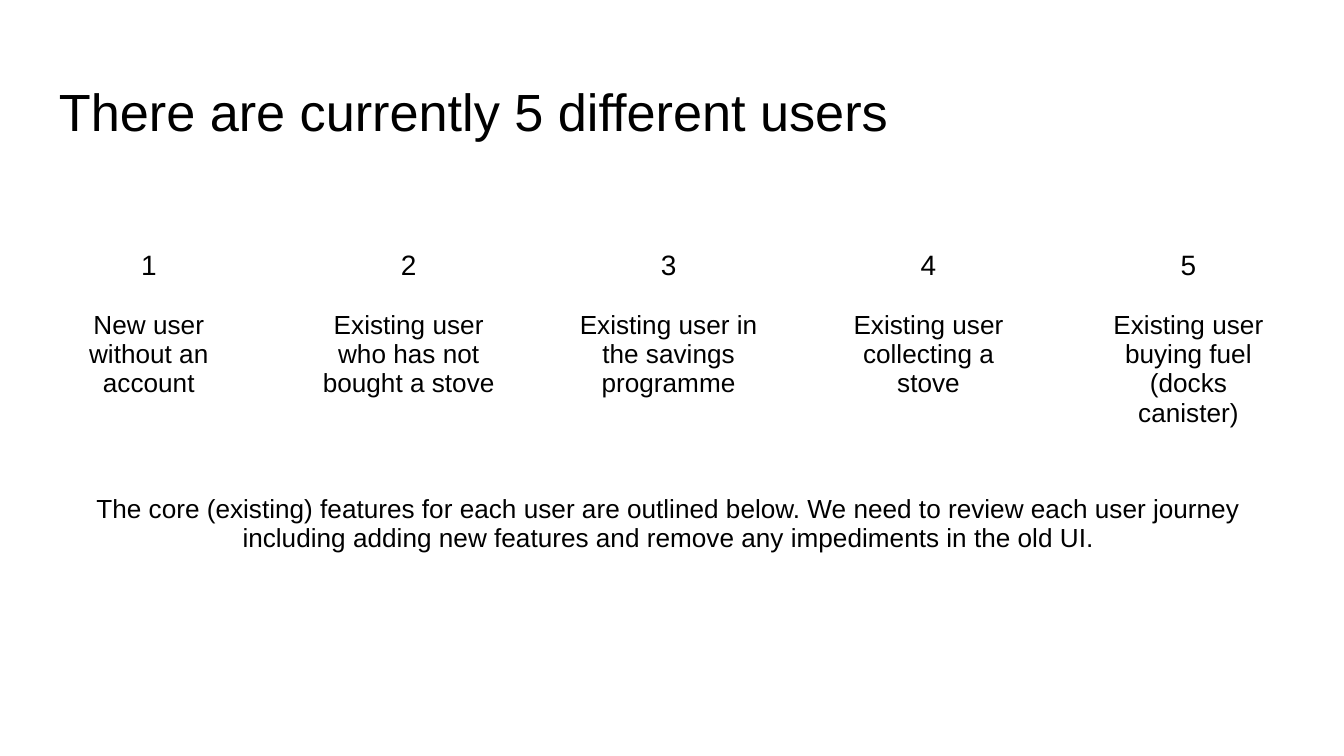
from pptx import Presentation
from pptx import util as u
from pptx.dml.color import RGBColor
from pptx.enum import text
from pptx.oxml import ns

BLACK = RGBColor(0, 0, 0)
WHITE = RGBColor(255, 255, 255)
FONT = "Arial"
PLAIN_TABLE = "{2D5ABB26-0587-4C30-8999-92F81FD0307C}"

deck = Presentation()
deck.slide_width = u.Inches(10)
deck.slide_height = deck.slide_width * 9 // 16
page = deck.slides.add_slide(deck.slide_layouts[6])
page.background.fill.solid()
page.background.fill.fore_color.rgb = WHITE


def write(holder, frame, wording, size, align=text.PP_ALIGN.CENTER, side=0.3, top=0.1):
    holder.margin_left = holder.margin_right = u.Inches(side)
    holder.margin_top = u.Inches(top)
    holder.margin_bottom = u.Inches(0.1)
    holder.vertical_anchor = text.MSO_ANCHOR.TOP
    for index, line in enumerate(wording.split("\n")):
        para = frame.paragraphs[0] if index == 0 else frame.add_paragraph()
        para.alignment = align
        span = para.add_run()
        span.text = line
        span.font.name = FONT
        span.font.size = u.Pt(size)
        span.font.color.rgb = BLACK


title_box = page.shapes.add_textbox(
    u.Inches(0.34), u.Inches(0.49), u.Inches(9.32), u.Inches(0.63))
title_frame = title_box.text_frame
title_frame.word_wrap = True
write(title_frame, title_frame, "There are currently 5 different users", 28,
      align=text.PP_ALIGN.LEFT, side=0.1)

users = [
    "New user without an account",
    "Existing user who has not bought a stove",
    "Existing user in the savings programme",
    "Existing user collecting a stove",
    "Existing user buying fuel\n(docks canister)",
]
summary = ("The core (existing) features for each user are outlined below. "
           "We need to review each user journey including adding new features "
           "and remove any impediments in the old UI.")
row_heights = [0.42, 1.15, 0.43]
table_width = u.Inches(9.67)

user_table = page.shapes.add_table(
    len(row_heights), len(users), u.Inches(0.14), u.Inches(1.76),
    table_width, u.Inches(sum(row_heights))).table
user_table.first_row = False
user_table.horz_banding = False
user_table._tbl.tblPr.find(ns.qn("a:tableStyleId")).text = PLAIN_TABLE
for row, height in zip(user_table.rows, row_heights):
    row.height = u.Inches(height)
for column in user_table.columns:
    column.width = table_width // len(users)
for cell in user_table.iter_cells():
    cell.fill.background()

for index, user in enumerate(users):
    for row, wording, size in ((0, str(index + 1), 15), (1, user, 14)):
        cell = user_table.cell(row, index)
        write(cell, cell.text_frame, wording, size)

summary_cell = user_table.cell(2, 0)
summary_cell.merge(user_table.cell(2, len(users) - 1))
write(summary_cell, summary_cell.text_frame, summary, 14, top=0.32)

deck.save("out.pptx")
